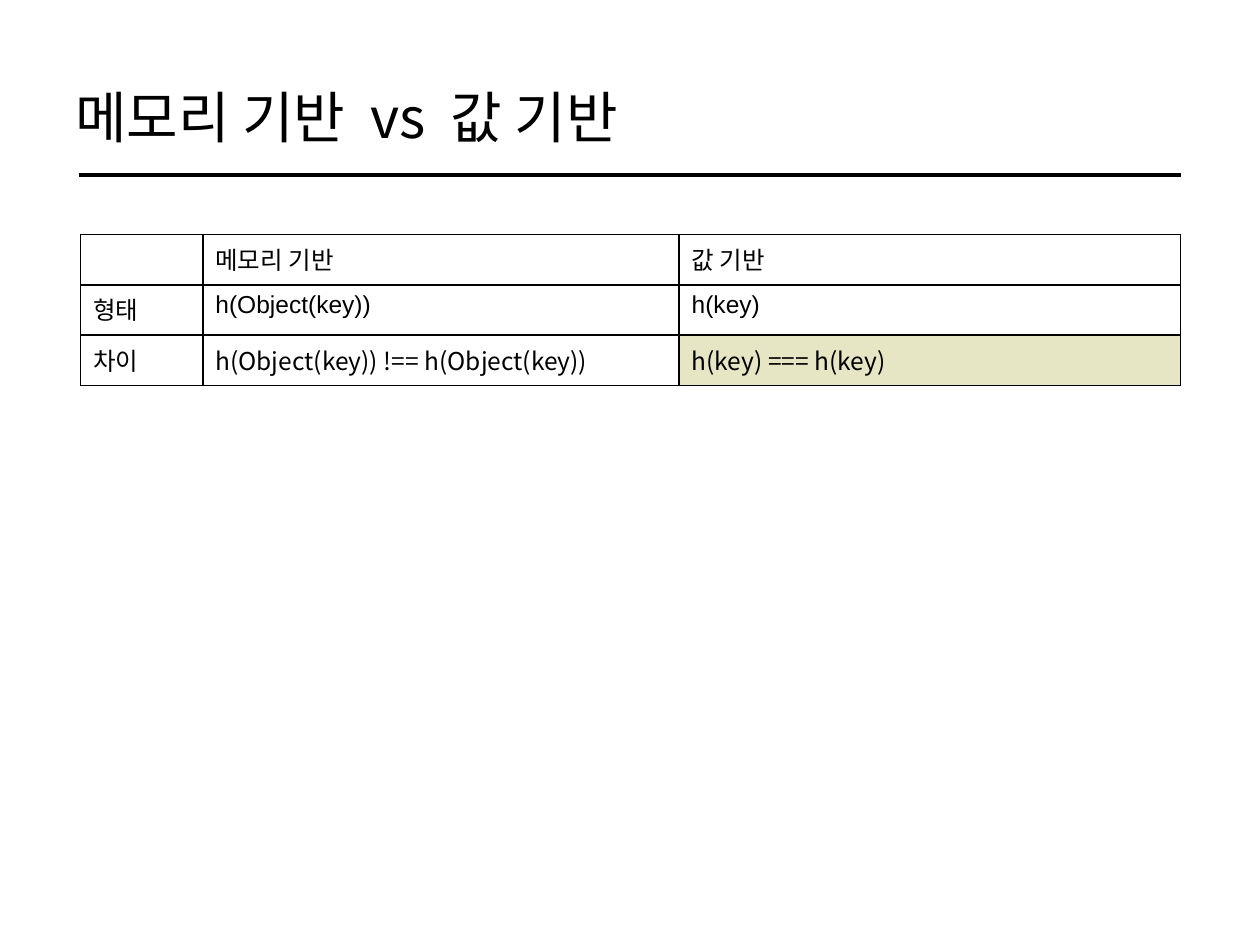
import pptx
import pptx.dml.color
import pptx.enum.shapes
import pptx.enum.text
import pptx.oxml.ns
import pptx.util
from lxml import etree

WIDTH, HEIGHT = 10, 7.5
BLACK, WHITE, HIGHLIGHT = "000000", "FFFFFF", "E6E6C4"
HANGUL_FONT, LATIN_FONT = "Noto Sans CJK KR", "Arial"
COLUMNS = [0.97, 3.78, 3.98]
ROW_HEIGHT = 0.4
ROWS = [
    ["", "메모리 기반", "값 기반"],
    ["형태", "h(Object(key))", "h(key)"],
    ["차이", "h(Object(key)) !== h(Object(key))", "h(key) === h(key)"],
]


def color(value):
    """Turn a hex string into a colour."""
    return pptx.dml.color.RGBColor.from_string(value)


def add_child(parent, tag, **attributes):
    """Append a DrawingML element."""
    child = etree.SubElement(parent, pptx.oxml.ns.qn(tag))
    for name, value in attributes.items():
        child.set(name, str(value))
    return child


def add_span(para, text, size, font, spacing=0):
    """Add formatted text to a paragraph; size and spacing are in points."""
    span = para.add_run()
    span.text = text
    span.font.size = pptx.util.Pt(size)
    span.font.name = font
    span.font.color.rgb = color(BLACK)
    add_child(span.font._element, "a:ea", typeface=HANGUL_FONT)
    if spacing:
        span.font._element.set("spc", str(spacing * 100))
    return span


def add_title(page, left, top, width, height):
    """Place the heading, with wider gaps around its middle word."""
    box = page.shapes.add_textbox(*map(pptx.util.Inches, (left, top, width, height)))
    frame = box.text_frame
    frame.word_wrap = True
    frame.vertical_anchor = pptx.enum.text.MSO_ANCHOR.MIDDLE
    pieces = [("메모리 기반", 0), (" ", 7), ("vs", 0), (" ", 7), ("값 기반", 0)]
    for text, spacing in pieces:
        add_span(frame.paragraphs[0], text, 32, HANGUL_FONT, spacing)


def add_rule(page, left, top, width):
    """Draw the horizontal line under the heading."""
    rule = page.shapes.add_connector(
        pptx.enum.shapes.MSO_CONNECTOR.STRAIGHT,
        *map(pptx.util.Inches, (left, top, left + width, top)))
    rule.line.color.rgb = color(BLACK)
    rule.line.width = pptx.util.Pt(2)
    add_child(rule._element.spPr, "a:effectLst")


def style_cell(cell, fill):
    """Give a cell thin borders on all sides and a plain fill."""
    properties = cell._tc.get_or_add_tcPr()
    for side in ("a:lnL", "a:lnR", "a:lnT", "a:lnB"):
        border = add_child(properties, side, w=pptx.util.Pt(1))
        add_child(add_child(border, "a:solidFill"), "a:srgbClr", val=BLACK)
    cell.fill.solid()
    cell.fill.fore_color.rgb = color(fill)


def add_comparison(page, left, top):
    """Place the comparison table with its top left corner at the given point."""
    size = (sum(COLUMNS), ROW_HEIGHT * len(ROWS))
    table = page.shapes.add_table(
        len(ROWS), len(COLUMNS),
        *map(pptx.util.Inches, (left, top, *size))).table
    table.first_row = table.horz_banding = False
    for column, width in zip(table.columns, COLUMNS):
        column.width = pptx.util.Inches(width)
    for row, texts in enumerate(ROWS):
        table.rows[row].height = pptx.util.Inches(ROW_HEIGHT)
        for column, text in enumerate(texts):
            cell = table.cell(row, column)
            last_row = row == len(ROWS) - 1
            highlighted = last_row and column == len(COLUMNS) - 1
            font = HANGUL_FONT if last_row and column else LATIN_FONT
            add_span(cell.text_frame.paragraphs[0], text, 14, font)
            style_cell(cell, HIGHLIGHT if highlighted else WHITE)


def build():
    """Build the deck and save it."""
    deck = pptx.Presentation()
    deck.slide_width = pptx.util.Inches(WIDTH)
    deck.slide_height = pptx.util.Inches(HEIGHT)
    page = deck.slides.add_slide(deck.slide_layouts[6])
    add_title(page, 0.05 * WIDTH, 0.21, 0.9 * WIDTH, 1.42)
    add_rule(page, 0.63, 1.39, 8.74)
    add_comparison(page, 0.64, 1.86)
    deck.save("out.pptx")


build()
